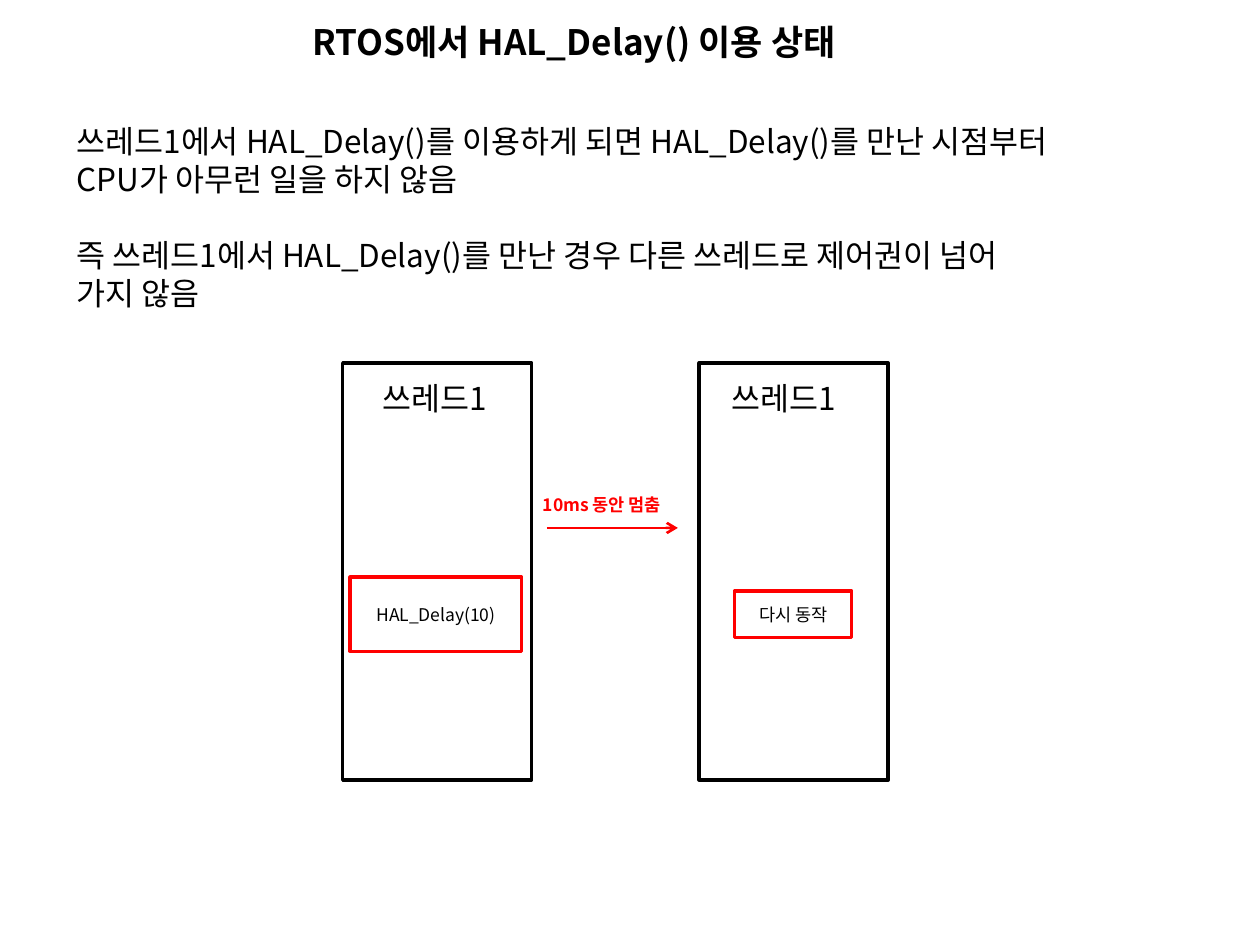
from lxml.etree import SubElement
from pptx import Presentation
from pptx.dml.color import RGBColor
from pptx.enum.shapes import MSO_CONNECTOR, MSO_SHAPE
from pptx.enum.text import MSO_ANCHOR, MSO_AUTO_SIZE, PP_ALIGN
from pptx.oxml.ns import qn
from pptx.util import Inches, Pt

FONT = "Noto Sans CJK KR"
BLACK, RED = "000000", "FF0000"
COLUMNS, ROWS = 100, 75
WIDTH, HEIGHT = Inches(10), Inches(7.5)

TITLE = {"size": Pt(20), "bold": True}
BODY = {"size": Pt(18)}
SMALL = {"size": Pt(10)}
NOTE = {"size": Pt(10), "bold": True}

EXPLANATION = (
    ("쓰레드1에서 HAL_Delay()를 이용하게 되면 HAL_Delay()를 만난 시점부터", 0),
    ("CPU가 아무런 일을 하지 않음", 0),
    ("즉 쓰레드1에서 HAL_Delay()를 만난 경우 다른 쓰레드로 제어권이 넘어", 22),
    ("가지 않음", 0),
)


def color(hex_string):
    """Turn a hex string into a colour."""
    return RGBColor.from_string(hex_string)


def grid(*cells):
    """Turn alternating column and row counts into slide lengths."""
    units = (WIDTH / COLUMNS, HEIGHT / ROWS)
    return [round(cell * units[i % 2]) for i, cell in enumerate(cells)]


def write(paragraph, text, style, ink=BLACK):
    """Put one styled run into a paragraph."""
    run = paragraph.add_run()
    run.text = text
    for key, value in style.items():
        setattr(run.font, key, value)
    run.font.name = FONT
    run.font.color.rgb = color(ink)
    SubElement(run.font._element, qn("a:ea"), typeface=FONT)


def add_text(slide, cells, lines, style, ink=BLACK):
    """Add a text box from (text, points of space before) pairs."""
    frame = slide.shapes.add_textbox(*grid(*cells)).text_frame
    frame.word_wrap = True
    frame.auto_size = MSO_AUTO_SIZE.SHAPE_TO_FIT_TEXT
    for i, (text, gap) in enumerate(lines):
        paragraph = frame.add_paragraph() if i else frame.paragraphs[0]
        paragraph.space_before = Pt(gap)
        write(paragraph, text, style, ink)


def add_box(slide, cells, outline, label=None):
    """Add an unfilled rectangle, with a centred label if given."""
    box = slide.shapes.add_shape(MSO_SHAPE.RECTANGLE, *grid(*cells))
    box.shadow.inherit = False
    box.fill.background()
    box.line.color.rgb = color(outline)
    box.line.width = Pt(2)
    SubElement(box.line._get_or_add_ln(), qn("a:round"))
    if label:
        box.text_frame.vertical_anchor = MSO_ANCHOR.MIDDLE
        paragraph = box.text_frame.paragraphs[0]
        paragraph.alignment = PP_ALIGN.CENTER
        write(paragraph, label, SMALL)


def add_arrow(slide, cells, ink):
    """Add a straight line with an open arrowhead at its end."""
    arrow = slide.shapes.add_connector(MSO_CONNECTOR.STRAIGHT, *grid(*cells))
    arrow.line.color.rgb = color(ink)
    arrow.line.width = Pt(1.5)
    SubElement(arrow.line._get_or_add_ln(), qn("a:tailEnd"), type="arrow")
    SubElement(arrow._element.spPr, qn("a:effectLst"))


def add_thread(slide, left, name_left):
    """Add a tall thread box with its name at the top."""
    add_box(slide, (left, 28.8, 15, 33.1), BLACK)
    add_text(slide, (name_left, 29.6, 11, 4), [("쓰레드1", 0)], BODY)


def main():
    """Build the slide and save it."""
    deck = Presentation()
    deck.slide_width, deck.slide_height = WIDTH, HEIGHT
    slide = deck.slides.add_slide(deck.slide_layouts[6])

    add_text(slide, (23.8, 1.1, 45.1, 4.4),
             [("RTOS에서 HAL_Delay() 이용 상태", 0)], TITLE)
    add_text(slide, (5.1, 9.2, 84, 16.2), EXPLANATION, BODY)

    for left, name_left in ((27.2, 29.4), (55.5, 57.1)):
        add_thread(slide, left, name_left)

    add_arrow(slide, (43.4, 41.9, 53.8, 41.9), RED)
    add_text(slide, (42.1, 38.7, 12.2, 2.7), [("10ms 동안 멈춤", 0)], NOTE, RED)
    add_box(slide, (58.3, 46.9, 9.3, 3.7), RED, "다시 동작")
    add_box(slide, (27.8, 45.8, 13.6, 5.9), RED, "HAL_Delay(10)")

    deck.save("out.pptx")


main()
